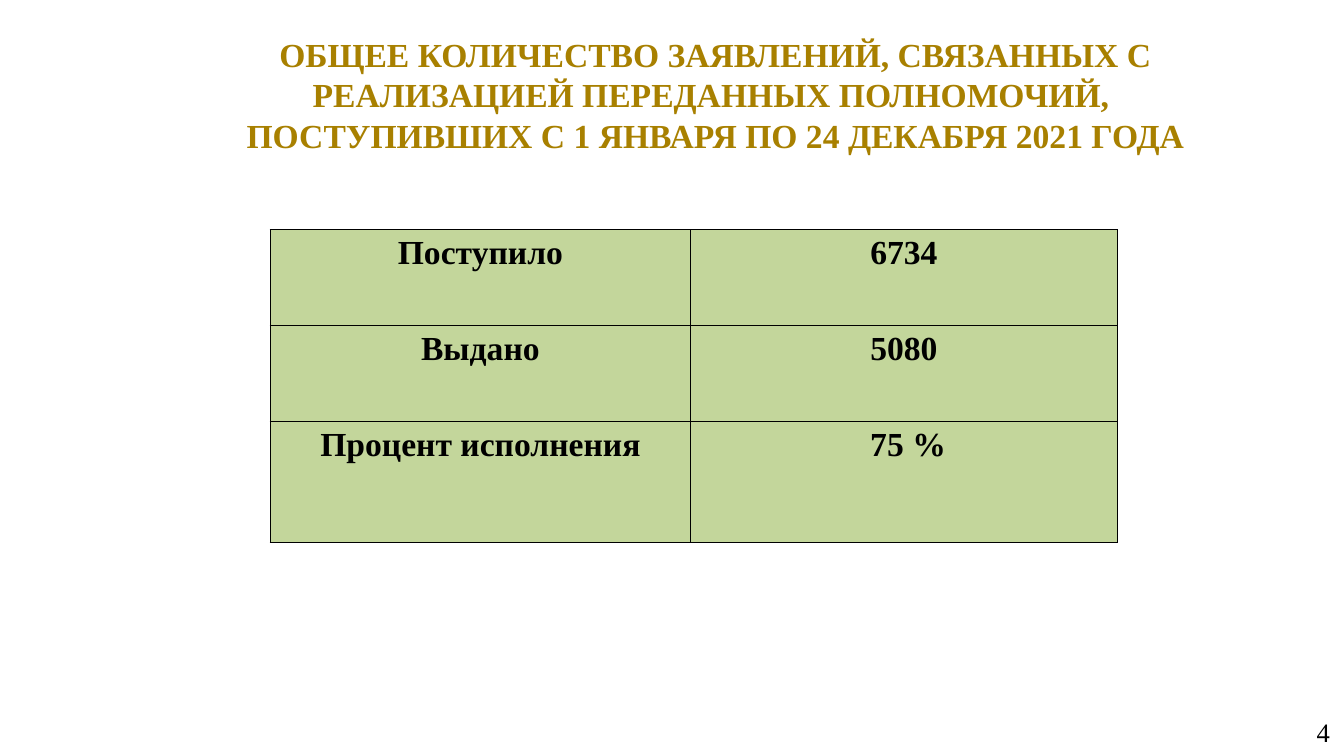
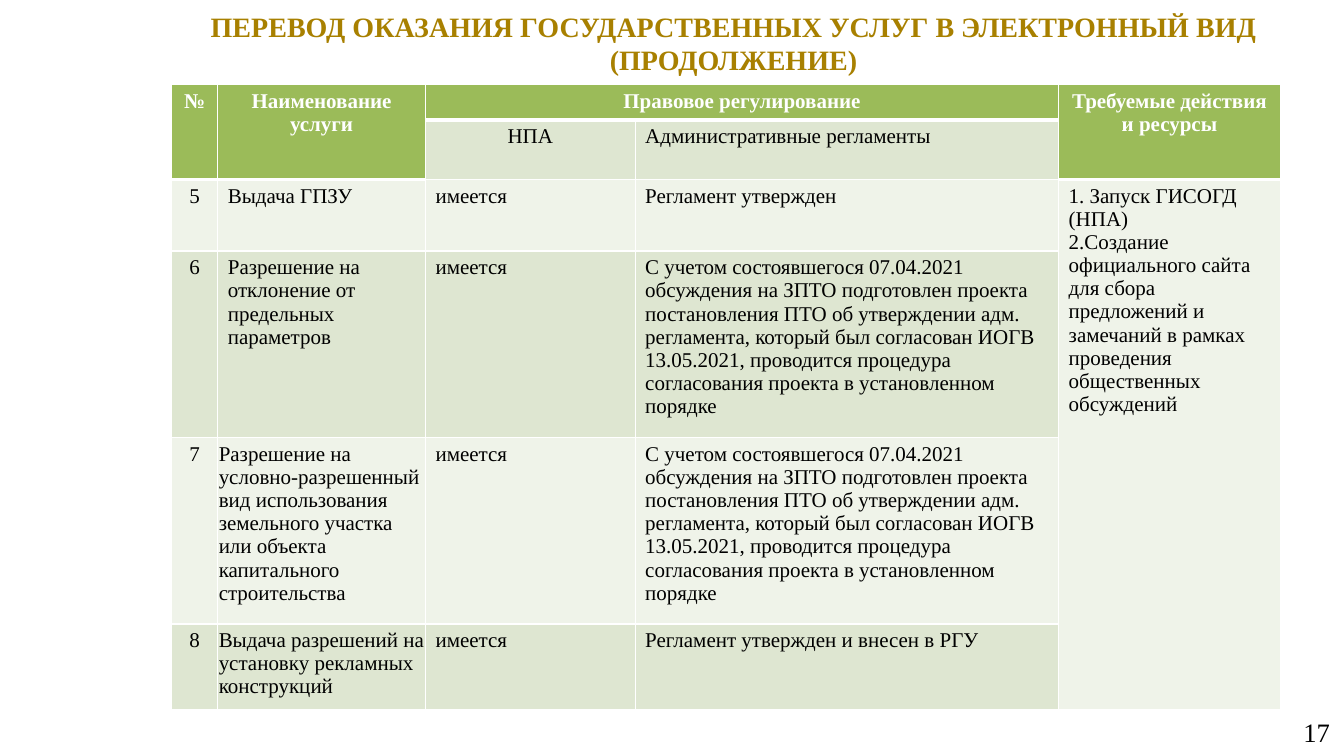
import copy
import pptx
import pptx.dml.color
import pptx.enum.text
import pptx.oxml.ns
import pptx.util
from lxml import etree

Inches = pptx.util.Inches
Pt = pptx.util.Pt
RGB = pptx.dml.color.RGBColor
ALIGN = pptx.enum.text.PP_ALIGN
ANCHOR = pptx.enum.text.MSO_ANCHOR
qn = pptx.oxml.ns.qn

FONT = "Times New Roman"
GOLD = RGB(0xA8, 0x80, 0x00)
BLACK = RGB(0, 0, 0)
WHITE = RGB(0xFF, 0xFF, 0xFF)
LIME = RGB(0xC3, 0xD6, 0x9B)
GREEN = RGB(0x9B, 0xBB, 0x59)
SAGE = RGB(0xDE, 0xE6, 0xD1)
PALE = RGB(0xEF, 0xF3, 0xE9)
THIN, THICK = 0.96, 3


def write(frame, text, size, color=BLACK, bold=False, align=ALIGN.LEFT):
    """Fill a text frame: a newline starts a paragraph, a vertical tab a line."""
    frame.word_wrap = True
    frame.text = text
    for para in frame.paragraphs:
        para.alignment = align
        for run in para.runs:
            font = run.font
            font.name, font.size, font.bold = FONT, Pt(size), bold
            font.color.rgb = color
        for br in para._p.findall(qn("a:br")):
            br.append(copy.deepcopy(para.runs[0]._r.rPr))


def edge(cell, color, top, bottom):
    """Draw the four borders; must come before the cell's fill."""
    props = cell._tc.get_or_add_tcPr()
    sides = {"L": THIN, "R": THIN, "T": top, "B": bottom}
    for side, width in sides.items():
        line = etree.SubElement(props, qn("a:ln" + side), w=str(Pt(width)))
        fill = etree.SubElement(line, qn("a:solidFill"))
        etree.SubElement(fill, qn("a:srgbClr"), val=str(color))


class Deck:
    """Holds the shared style and the current slide."""

    def __init__(self):
        self.show = pptx.Presentation()
        self.show.slide_width = Inches(13.33)
        self.show.slide_height = Inches(7.5)

    def add(self, title, left, top, height, size, number):
        self.slide = self.show.slides.add_slide(self.show.slide_layouts[5])
        head = self.slide.shapes.title
        self.place(head, left, top, 11.43, height)
        write(head.text_frame, title, size, GOLD, True, ALIGN.CENTER)
        box = self.slide.shapes.add_textbox(0, 0, 0, 0)
        self.place(box, 10.22, 7.07, 3.1, 0.39)
        write(box.text_frame, number, 19, align=ALIGN.RIGHT)

    def place(self, shape, left, top, width, height):
        shape.left, shape.top = Inches(left), Inches(top)
        shape.width, shape.height = Inches(width), Inches(height)
        frame = shape.text_frame
        frame.auto_size = pptx.enum.text.MSO_AUTO_SIZE.NONE
        frame.vertical_anchor = ANCHOR.MIDDLE
        frame.margin_left = frame.margin_right = Inches(0.13)
        frame.margin_top = frame.margin_bottom = Inches(0.07)

    def grid(self, left, top, cols, rows):
        table = self.slide.shapes.add_table(
            len(rows), len(cols), Inches(left), Inches(top),
            Inches(sum(cols)), Inches(sum(rows))).table
        table.first_row = table.horz_banding = False
        for col, width in zip(table.columns, cols):
            col.width = Inches(width)
        for row, height in zip(table.rows, rows):
            row.height = Inches(height)
        return table

    def cell(self, cell, text, fill, line, top=THIN, bottom=THIN, pad=0.1,
             **style):
        edge(cell, line, top, bottom)
        cell.fill.solid()
        cell.fill.fore_color.rgb = fill
        cell.margin_left = cell.margin_right = Inches(pad)
        cell.margin_top = cell.margin_bottom = Inches(0.05)
        cell.vertical_anchor = ANCHOR.TOP
        if text:
            write(cell.text_frame, text, **style)


def totals(deck):
    deck.add("ОБЩЕЕ КОЛИЧЕСТВО ЗАЯВЛЕНИЙ, СВЯЗАННЫХ С РЕАЛИЗАЦИЕЙ "
             "ПЕРЕДАННЫХ ПОЛНОМОЧИЙ, \vПОСТУПИВШИХ С 1 ЯНВАРЯ ПО "
             "24 ДЕКАБРЯ 2021 ГОДА", 1.38, 0.3, 1.27, 24, "4")
    data = [("Поступило", "6734"), ("Выдано", "5080"),
            ("Процент исполнения", " 75 %")]
    table = deck.grid(2.68, 2.28, [4.17, 4.23], [0.95, 0.95, 1.2])
    for r, row in enumerate(data):
        for c, text in enumerate(row):
            deck.cell(table.cell(r, c), text, LIME, BLACK, pad=0.13,
                      size=24, bold=True, align=ALIGN.CENTER)


def services(deck):
    deck.add("ПЕРЕВОД ОКАЗАНИЯ ГОСУДАРСТВЕННЫХ УСЛУГ В ЭЛЕКТРОННЫЙ ВИД "
             "(ПРОДОЛЖЕНИЕ)", 1.56, -0.07, 0.99, 20, "17")
    ready = "имеется"
    draft = ("С учетом состоявшегося 07.04.2021 обсуждения на ЗПТО "
             "подготовлен проекта постановления ПТО об утверждении адм. "
             "регламента, который был согласован ИОГВ 13.05.2021, "
             "проводится процедура согласования проекта в установленном "
             "порядке")
    needs = ("1. Запуск ГИСОГД (НПА)\n2.Создание официального сайта для "
             "сбора предложений и замечаний в рамках проведения "
             "общественных обсуждений")
    data = [
        ("№", "Наименование услуги", "Правовое регулирование", "",
         "Требуемые действия и ресурсы"),
        ("", "", "НПА", "Административные регламенты", ""),
        ("5", "Выдача ГПЗУ", ready, "Регламент утвержден", needs),
        ("6", "Разрешение на отклонение от предельных параметров",
         ready, draft, ""),
        ("7", "Разрешение на условно-разрешенный вид использования "
         "земельного участка или объекта капитального строительства",
         ready, draft, ""),
        ("8", "Выдача разрешений на установку рекламных конструкций",
         ready, "Регламент утвержден и внесен в РГУ", ""),
    ]
    table = deck.grid(1.7, 0.84, [0.46, 2.06, 2.08, 4.2, 2.2],
                      [0.35, 0.59, 0.71, 1.85, 1.85, 0.85])
    spans = [(0, 0, 1, 0), (0, 1, 1, 1), (0, 2, 0, 3), (0, 4, 1, 4),
             (2, 4, 5, 4)]
    for top, left, bottom, right in spans:
        table.cell(top, left).merge(table.cell(bottom, right))

    def is_head(r, c):
        return r == 0 or (r == 1 and c not in (2, 3))

    for r, row in enumerate(data):
        for c, text in enumerate(row):
            head = is_head(r, c)
            body = SAGE if r % 2 and c < 4 else PALE
            mid = head or c == 0 or (r, c) == (1, 2)
            deck.cell(table.cell(r, c), text, GREEN if head else body, WHITE,
                      top=THICK if r and not head and is_head(r - 1, c)
                      else THIN,
                      bottom=THICK if head else THIN,
                      pad=0.01 if r > 3 and c == 1 else 0.1,
                      size=15, color=WHITE if head else BLACK, bold=head,
                      align=ALIGN.CENTER if mid else ALIGN.LEFT)


def main():
    deck = Deck()
    totals(deck)
    services(deck)
    deck.show.save("out.pptx")


if __name__ == "__main__":
    main()
